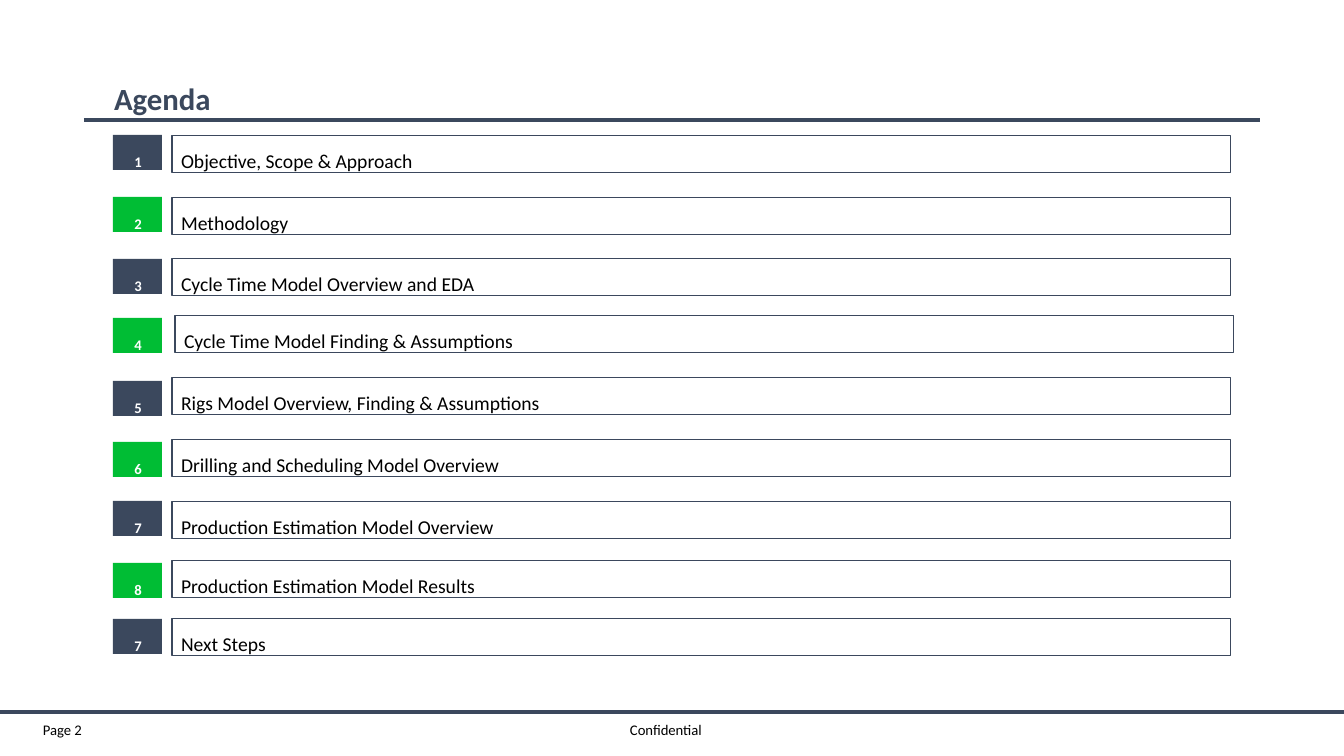
from pptx import Presentation
from pptx.dml.color import RGBColor
from pptx.enum.shapes import MSO_CONNECTOR, MSO_SHAPE
from pptx.enum.text import MSO_ANCHOR, PP_ALIGN
from pptx.util import Pt
from lxml import etree

PX = 914400 / 100.8
COLORS = {"navy": "3B485D", "green": "00BD34", "white": "FFFFFF", "black": "000000"}
DRAWING_NS = "http://schemas.openxmlformats.org/drawingml/2006/main"


def box(*lengths):
    return [round(length * PX) for length in lengths]


def write(shape, text, size, color, bold=False, left=0, top=0, align=PP_ALIGN.LEFT):
    frame = shape.text_frame
    frame.word_wrap = True
    frame.vertical_anchor = MSO_ANCHOR.TOP
    frame.margin_left, frame.margin_top, frame.margin_right, frame.margin_bottom = box(left, top, 0, 0)
    frame.text = text
    paragraph = frame.paragraphs[0]
    paragraph.alignment = align
    font = paragraph.runs[0].font
    font.name, font.size, font.bold = "Calibri", Pt(size), bold
    font.color.rgb = RGBColor.from_string(COLORS[color])
    return paragraph


presentation = Presentation()
presentation.slide_width, presentation.slide_height = box(1344, 756)
slide = presentation.slides.add_slide(presentation.slide_layouts[5])
shapes = slide.shapes

# Title
title = shapes.title
title.left, title.top, title.width, title.height = box(106, 51, 1097, 66)
write(title, "Agenda", 22, "navy", bold=True, left=8, top=29)

# Rules under the title and above the footer
for left, right, y in [(84, 1260, 120), (0, 1344, 712)]:
    rule = shapes.add_connector(MSO_CONNECTOR.STRAIGHT, *box(left, y, right, y))
    rule.line.color.rgb = RGBColor.from_string(COLORS["navy"])
    rule.line.width = Pt(3)
    etree.SubElement(rule._element.spPr, f"{{{DRAWING_NS}}}effectLst")

# Footer
for text, left, width in [("Page 2", 42, 60), ("Confidential", 629, 86)]:
    footer = shapes.add_textbox(*box(left, 723, width, 15))
    write(footer, text, 10.5, "black", left=1).line_spacing = Pt(10.8)

# Agenda rows: number, number top, label left, label top, label
agenda = [
    ("1", 135, 172, 136, "Objective, Scope & Approach"),
    ("2", 197, 172, 198, "Methodology"),
    ("3", 259, 172, 259, "Cycle Time Model Overview and EDA"),
    ("4", 318, 175, 316, "Cycle Time Model Finding & Assumptions"),
    ("5", 381, 172, 378, "Rigs Model Overview, Finding & Assumptions"),
    ("6", 442, 172, 440, "Drilling and Scheduling Model Overview"),
    ("7", 501, 172, 502, "Production Estimation Model Overview"),
    ("8", 563, 172, 561, "Production Estimation Model Results"),
    ("7", 619, 172, 619, "Next Steps"),
]
for row, (number, number_top, label_left, label_top, label) in enumerate(agenda):
    badge = shapes.add_shape(MSO_SHAPE.RECTANGLE, *box(113, number_top, 49, 35))
    badge.shadow.inherit = False
    badge.fill.solid()
    badge.fill.fore_color.rgb = RGBColor.from_string(COLORS["green" if row % 2 else "navy"])
    badge.line.fill.background()
    write(badge, number, 10.5, "white", bold=True, left=1, top=18, align=PP_ALIGN.CENTER)

    label_box = shapes.add_shape(MSO_SHAPE.RECTANGLE, *box(label_left, label_top, 1059, 37))
    label_box.shadow.inherit = False
    label_box.fill.background()
    label_box.line.color.rgb = RGBColor.from_string(COLORS["navy"])
    label_box.line.width = Pt(0.75)
    write(label_box, label, 14, "black", left=9, top=13)

presentation.save("out.pptx")
